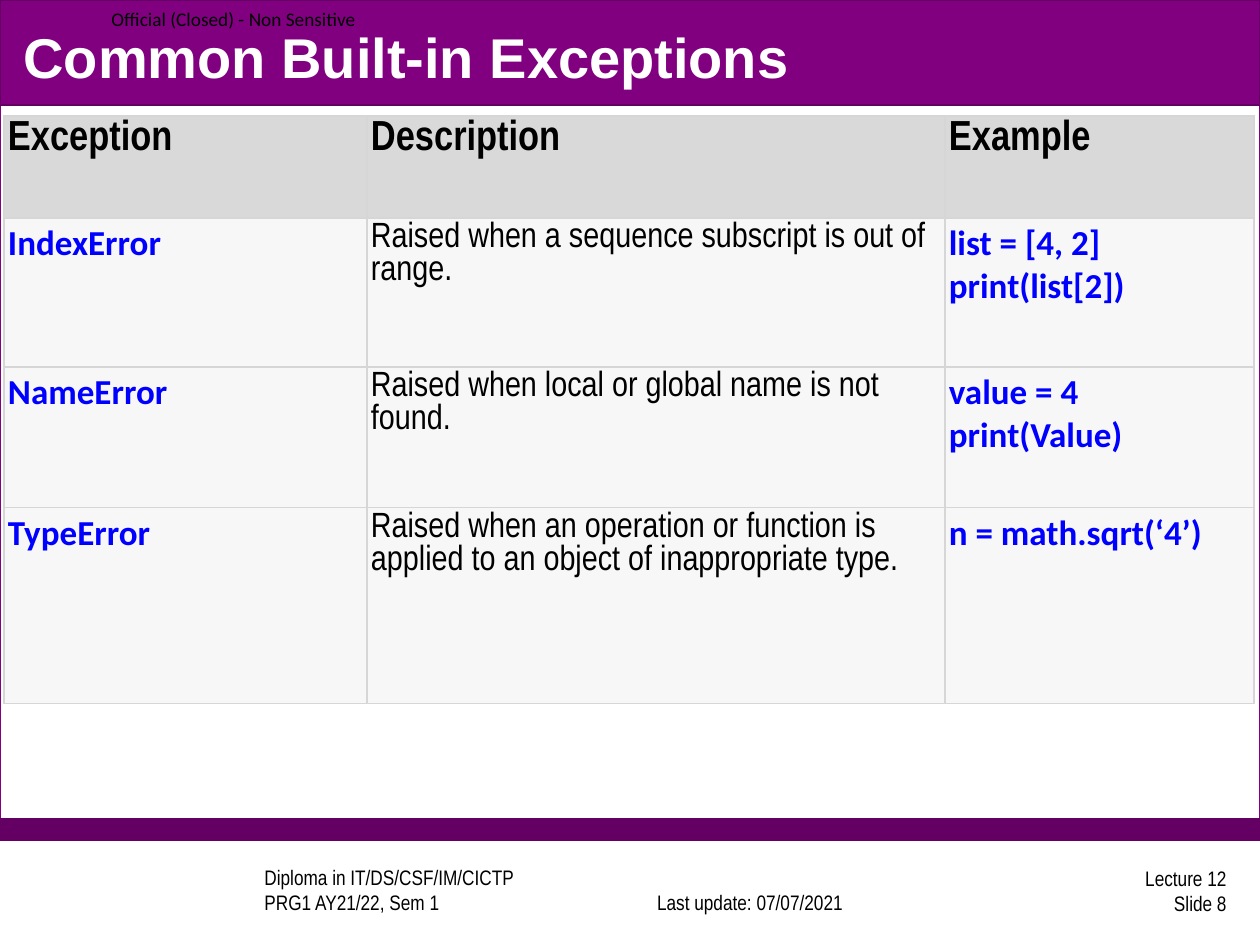
"""Build the slide on common built-in Python exceptions."""
import pptx
import pptx.dml.color
import pptx.enum.shapes
import pptx.enum.text
import pptx.oxml
import pptx.oxml.ns
import pptx.util
import lxml.etree

PX = 914400 / 126
WHITE = pptx.dml.color.RGBColor(0xFF, 0xFF, 0xFF)
BLACK = pptx.dml.color.RGBColor(0x00, 0x00, 0x00)
BLUE = pptx.dml.color.RGBColor(0x00, 0x00, 0xFF)
PURPLE = pptx.dml.color.RGBColor(0x80, 0x00, 0x80)
DARK_PURPLE = pptx.dml.color.RGBColor(0x64, 0x00, 0x64)
HEADER_GREY = pptx.dml.color.RGBColor(0xD9, 0xD9, 0xD9)
BODY_GREY = pptx.dml.color.RGBColor(0xF7, 0xF7, 0xF7)
BORDER_GREY = pptx.dml.color.RGBColor(0xD6, 0xD6, 0xD6)
ALIGN = pptx.enum.text.PP_ALIGN
ANCHOR = pptx.enum.text.MSO_ANCHOR


def px(length):
    return pptx.util.Emu(round(length * PX))


def write(frame, text, font="Arial Narrow", size=12, color=BLACK, bold=False,
          align=ALIGN.LEFT):
    for index, line in enumerate(text.split("\n")):
        paragraph = frame.add_paragraph() if index else frame.paragraphs[0]
        paragraph.alignment = align
        run = paragraph.add_run()
        run.text = line
        run.font.name = font
        run.font.size = pptx.util.Pt(size)
        run.font.bold = bold
        run.font.color.rgb = color


deck = pptx.Presentation()
deck.slide_width, deck.slide_height = px(1260), px(945)
slide = deck.slides.add_slide(deck.slide_layouts[6])

for top, height, fill, outline, opacity in [
    (0, 840, WHITE, PURPLE, 90),
    (819, 21, DARK_PURPLE, DARK_PURPLE, 100),
    (0, 105, PURPLE, DARK_PURPLE, 100),
]:
    band = slide.shapes.add_shape(pptx.enum.shapes.MSO_SHAPE.RECTANGLE,
                                  0, px(top), px(1260), px(height))
    band.shadow.inherit = False
    band.fill.solid()
    band.fill.fore_color.rgb = fill
    band.line.color.rgb = outline
    band.line.width = pptx.util.Pt(0.75)
    if opacity < 100:
        tint = band.fill._xPr.find(".//" + pptx.oxml.ns.qn("a:srgbClr"))
        lxml.etree.SubElement(tint, pptx.oxml.ns.qn("a:alpha"), val=str(opacity * 1000))

for text, left, top, width, height, anchor, style in [
    ("Diploma in IT/DS/CSF/IM/CICTP\nPRG1 AY21/22, Sem 1",
     252, 868, 336, 53, ANCHOR.BOTTOM, {}),
    ("Last update: 07/07/2021", 619, 868, 262, 53, ANCHOR.BOTTOM, {"align": ALIGN.CENTER}),
    ("Lecture 12\nSlide 8", 977, 864, 262, 53, ANCHOR.MIDDLE, {"align": ALIGN.RIGHT}),
    ("Official (Closed) - Non Sensitive", 99, 0, 281, 38, ANCHOR.MIDDLE,
     {"font": "Calibri", "size": 11}),
    ("Common Built-in Exceptions", 11, 17, 1239, 78, ANCHOR.MIDDLE,
     {"font": "Arial", "size": 32, "color": WHITE, "bold": True}),
]:
    box = slide.shapes.add_textbox(px(left), px(top), px(width), px(height))
    box.text_frame.word_wrap = True
    box.text_frame.vertical_anchor = anchor
    write(box.text_frame, text, **style)

exceptions = [
    ("Exception", "Description", "Example"),
    ("IndexError", "Raised when a sequence subscript is out of range.",
     "list = [4, 2]\nprint(list[2])"),
    ("NameError", "Raised when local or global name is not found.",
     "value = 4\nprint(Value)"),
    ("TypeError",
     "Raised when an operation or function is applied to an object of inappropriate type.",
     "n = math.sqrt(‘4’)"),
]
column_widths = [363, 578, 309]
row_heights = [102, 149, 141, 196]
header_style = {"size": 24, "bold": True}
code_style = {"font": "Calibri", "size": 20, "color": BLUE, "bold": True}
description_style = {"size": 20}
body_styles = [code_style, description_style, code_style]

table = slide.shapes.add_table(4, 3, px(4), px(116), px(sum(column_widths)),
                               px(sum(row_heights))).table
for column, width in zip(table.columns, column_widths):
    column.width = px(width)
for row, height in zip(table.rows, row_heights):
    row.height = px(height)

for row_index, entries in enumerate(exceptions):
    for column_index, entry in enumerate(entries):
        cell = table.cell(row_index, column_index)
        cell.margin_left = cell.margin_right = px(4)
        cell.margin_top = cell.margin_bottom = px(4)
        cell.vertical_anchor = ANCHOR.TOP
        write(cell.text_frame, entry,
              **(body_styles[column_index] if row_index else header_style))
        properties = cell._tc.get_or_add_tcPr()
        for edge in ("lnL", "lnR", "lnT", "lnB"):
            properties.append(pptx.oxml.parse_xml(
                f'<a:{edge} {pptx.oxml.ns.nsdecls("a")} w="9525"><a:solidFill>'
                f'<a:srgbClr val="{BORDER_GREY}"/></a:solidFill></a:{edge}>'))
        cell.fill.solid()
        cell.fill.fore_color.rgb = BODY_GREY if row_index else HEADER_GREY

deck.save("out.pptx")
